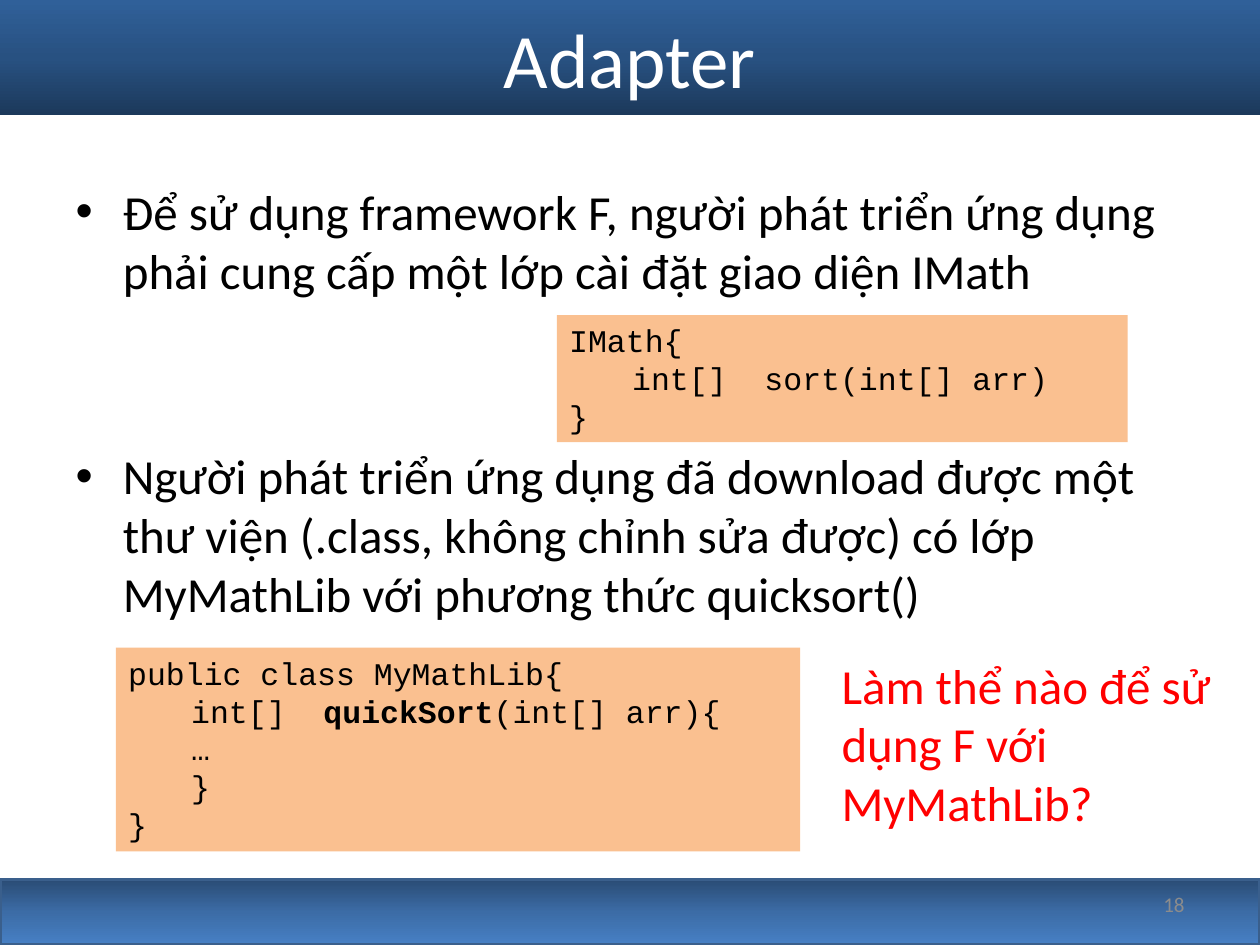
from pptx import Presentation
from pptx.dml.color import RGBColor
from pptx.enum.shapes import MSO_SHAPE
from pptx.enum.text import MSO_ANCHOR, MSO_AUTO_SIZE, PP_ALIGN
from pptx.oxml import parse_xml
from pptx.oxml.ns import nsdecls
from pptx.util import Pt

TITLE = "Adapter"
POINTS = [
    ("Để sử dụng framework F, người phát triển ứng dụng "
     "phải cung cấp một lớp cài đặt giao diện IMath", 0),
    ("Người phát triển ứng dụng đã download được một thư viện "
     "(.class, không chỉnh sửa được) có lớp MyMathLib "
     "với phương thức quicksort()", 84),
]
CODES = [
    ((318.2, 180, 326.2, 72.7), [
        [("IMath{", False)],
        [("\tint[]  sort(int[] arr)", False)],
        [("}", False)],
    ]),
    ((66.2, 370, 391, 116.6), [
        [("public class MyMathLib{", False)],
        [("\tint[]  ", False), ("quickSort", True), ("(int[] arr){", False)],
        [("\t…", False)],
        [("\t}", False)],
        [("}", False)],
    ]),
]
ASK = "Làm thể nào để sử dụng F với MyMathLib?"
NUMBER = "18"
HEAD = ["306099", "285181", "1C395B"]
FOOT = ["2A4C75", "3C6CA6", "4780C5"]


def color(text):
    return RGBColor.from_string(text)


def place(shape, box):
    shape.left, shape.top, shape.width, shape.height = map(Pt, box)


def shade(shape, tones):
    stops = "".join(
        f'<a:gs pos="{i * 50000}"><a:srgbClr val="{tone}"/></a:gs>'
        for i, tone in enumerate(tones))
    shape.fill.background()
    props = shape._element.spPr
    old = props.find("{http://schemas.openxmlformats.org/drawingml/2006/main}noFill")
    props.replace(old, parse_xml(
        f'<a:gradFill {nsdecls("a")} rotWithShape="1"><a:gsLst>{stops}</a:gsLst>'
        '<a:lin ang="5400000" scaled="0"/></a:gradFill>'))


def write(para, text, size, tone, face="Calibri", bold=False):
    run = para.add_run()
    run.text = text
    font = run.font
    font.size, font.name, font.bold = Pt(size), face, bold
    font.color.rgb = color(tone)


def block(box):
    shape = slide.shapes.add_shape(MSO_SHAPE.RECTANGLE, *map(Pt, box))
    shape.shadow.inherit = False
    return shape


def label(box, text, size, tone, align, anchor):
    shape = slide.shapes.add_textbox(*map(Pt, box))
    frame = shape.text_frame
    frame.word_wrap = True
    frame.vertical_anchor = anchor
    para = frame.paragraphs[0]
    para.alignment = align
    write(para, text, size, tone)


def lines(frame, count):
    return [frame.paragraphs[0]] + [frame.add_paragraph() for _ in range(count - 1)]


deck = Presentation()
deck.slide_width, deck.slide_height = Pt(720), Pt(540)
slide = deck.slides.add_slide(deck.slide_layouts[1])

bar = block((0, 502.6, 720, 37.4))
shade(bar, FOOT)
bar.line.color.rgb = color("3A5F8C")
bar.line.width = Pt(2)

title = slide.shapes.title
place(title, (0, 0, 720, 66))
shade(title, HEAD)
title.text_frame.vertical_anchor = MSO_ANCHOR.MIDDLE
para = title.text_frame.paragraphs[0]
para.alignment = PP_ALIGN.CENTER
write(para, TITLE, 44, "FFFFFF")

body = slide.placeholders[1]
place(body, (36, 100, 648, 382))
for para, (text, gap) in zip(lines(body.text_frame, len(POINTS)), POINTS):
    para.space_before = Pt(gap)
    write(para, text, 28, "000000")

label((516, 502, 168, 28.8), NUMBER, 12, "8C8C8C", PP_ALIGN.RIGHT, MSO_ANCHOR.MIDDLE)

for box, rows in CODES:
    panel = block(box)
    panel.fill.solid()
    panel.fill.fore_color.rgb = color("FAC090")
    panel.line.fill.background()
    frame = panel.text_frame
    frame.word_wrap = False
    frame.auto_size = MSO_AUTO_SIZE.SHAPE_TO_FIT_TEXT
    frame.vertical_anchor = MSO_ANCHOR.TOP
    for para, row in zip(lines(frame, len(rows)), rows):
        para.alignment = PP_ALIGN.LEFT
        for text, bold in row:
            write(para, text, 18, "000000", "Courier New", bold)

label((473.8, 370.8, 239.8, 108.7), ASK, 28, "FF0000", PP_ALIGN.LEFT, MSO_ANCHOR.TOP)

deck.save("out.pptx")
